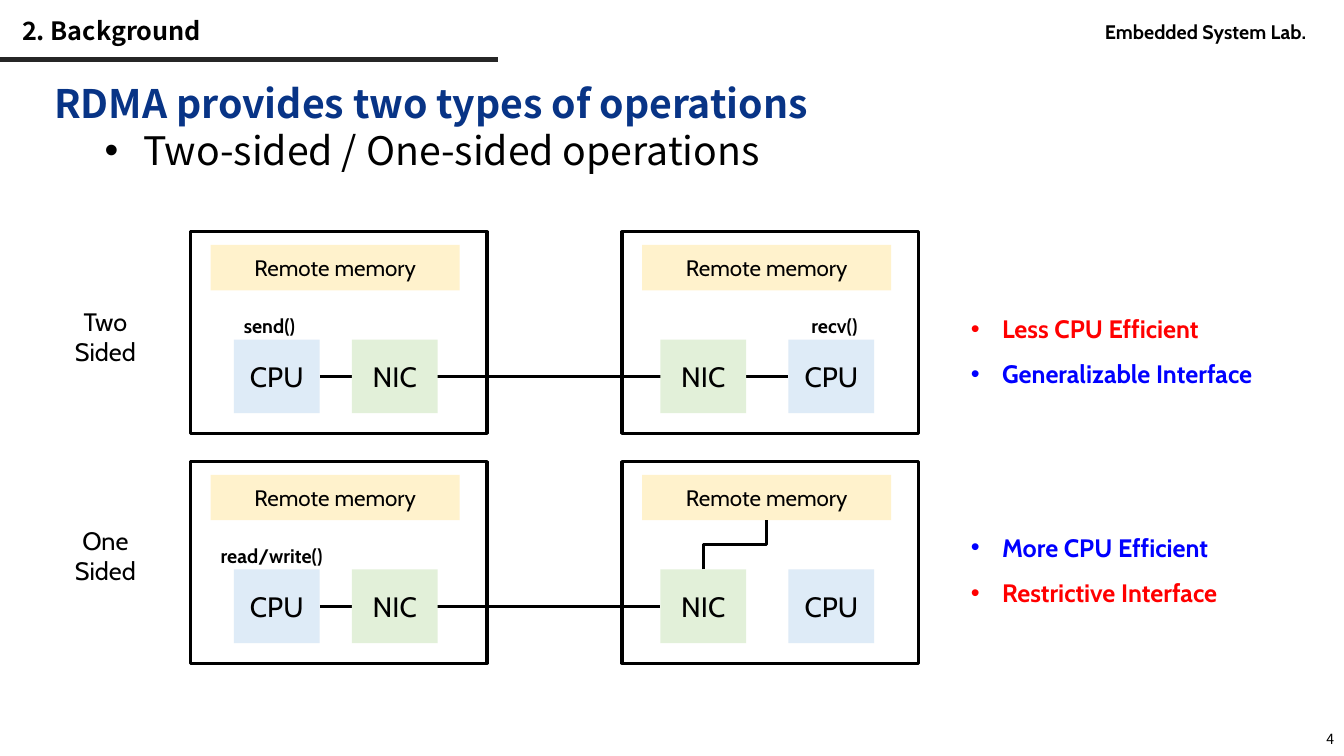
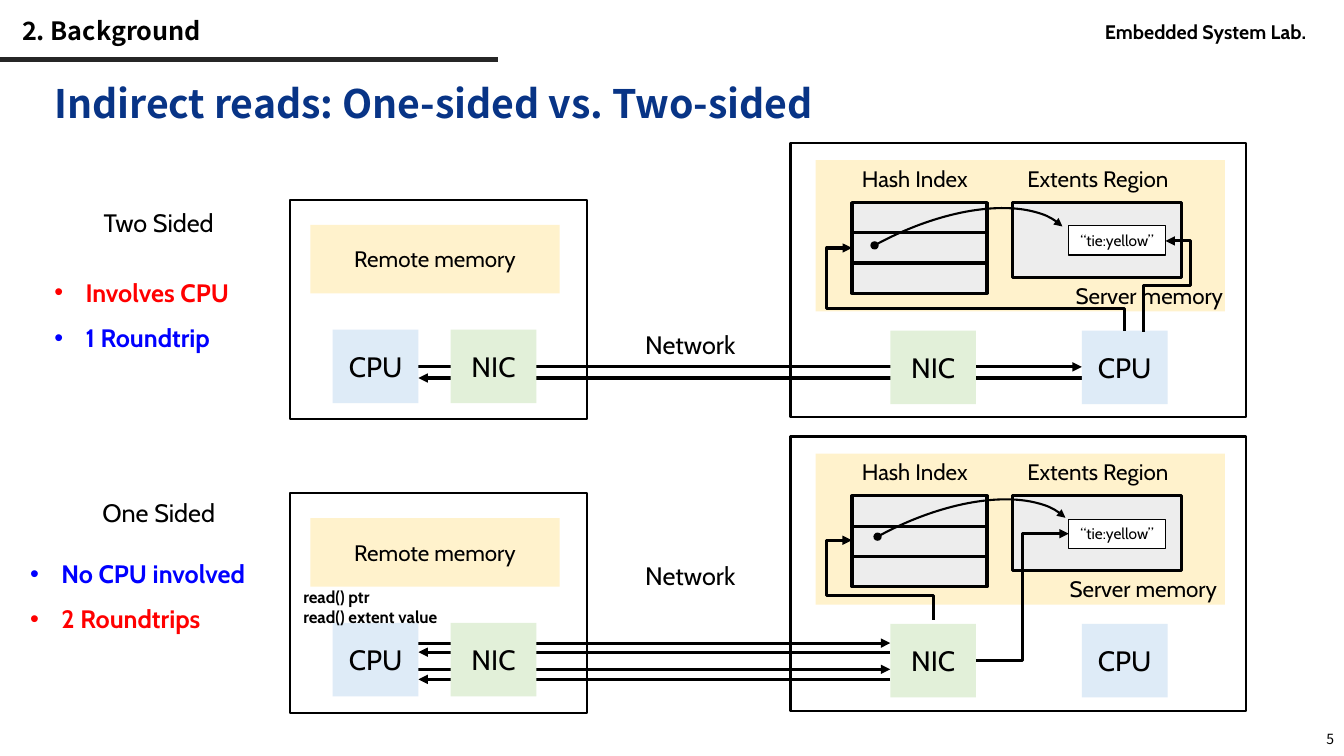
from pptx import Presentation
from pptx.dml.color import RGBColor
from pptx.enum import shapes as kinds, text as texts
from pptx.oxml.ns import qn
from pptx.util import Inches, Pt
from lxml import etree

COLORS = {
    "black": "000000", "white": "FFFFFF", "rule": "262626", "navy": "083486",
    "red": "FF0000", "blue": "0000FF", "memory": "FFF2CC", "cpu": "DEEBF7",
    "nic": "E2F0D9", "table": "EDEDED",
}
SANS, LABEL = "Noto Sans CJK KR", "Cabin"
CENTER, RIGHT = texts.PP_ALIGN.CENTER, texts.PP_ALIGN.RIGHT
MIDDLE = texts.MSO_ANCHOR.MIDDLE
RECT, ARC = kinds.MSO_SHAPE.RECTANGLE, kinds.MSO_SHAPE.ARC
TOP, LEFT, BOTTOM, RIGHT_SIDE = range(4)  # connection sites of a rectangle


def style(size, name=LABEL, bold=False, color="black", bullet=None, **para):
    return {"font": {"size": Pt(size), "name": name, "bold": bold},
            "color": color, "bullet": bullet, "para": para}


STYLES = {
    "section": style(18, SANS, True, line_spacing=0.9),
    "lab": style(14, bold=True),
    "number": style(10, SANS, alignment=RIGHT),
    "heading": style(28, SANS, True, "navy"),
    "subpoint": style(28, SANS, bullet=(0.88, 0.38)),
    "pro": style(18, bold=True, color="blue", bullet=(0.31, 0.31), line_spacing=1.5),
    "con": style(18, bold=True, color="red", bullet=(0.31, 0.31), line_spacing=1.5),
    "row": style(18, alignment=CENTER),
    "network": style(18),
    "caption": style(16),
    "memory": style(16, alignment=CENTER),
    "chip": style(20, alignment=CENTER),
    "value": style(11, alignment=CENTER),
    "call": style(14, bold=True),
    "reads": style(12, bold=True),
}

SECTION, LAB = "2. Background", "Embedded System Lab."
MEMORY = "Remote memory"
CHIP_SIZE = (0.85, 0.73)

OPERATIONS = {
    "number": 4,
    "heading": [("RDMA provides two types of operations", "heading"),
                ("Two-sided / One-sided operations", "subpoint")],
    "rows": [
        {"top": 2.3, "name": ["Two", "Sided"], "name_top": 2.99, "line_end": 7.82,
         "notes": [("Less CPU Efficient", "con"), ("Generalizable Interface", "pro")],
         "notes_top": 2.91,
         "calls": [("send()", 2.32, 0.85), ("recv()", 7.95, 0.85)]},
        {"top": 4.58, "name": ["One", "Sided"], "name_top": 5.16, "line_end": 6.55,
         "notes": [("More CPU Efficient", "pro"), ("Restrictive Interface", "con")],
         "notes_top": 5.08,
         "calls": [("read/write()", 2.09, 1.39)]},
    ],
    # host left, CPU offset, NIC offset
    "hosts": [(1.89, 0.43, 1.6), (6.17, 1.65, 0.38)],
}

INDIRECT = {
    "number": 5,
    "heading": [("Indirect reads: One-sided vs. Two-sided", "heading")],
    "row_step": 2.91,
    "rows": [
        {"name": "Two Sided", "name_at": (0.71, 2.01, 1.73, 0.4),
         "notes": [("Involves CPU", "con"), ("1 Roundtrip", "pro")],
         "notes_at": (0.44, 2.55, 3.55, 0.95),
         "network_top": 3.22, "caption_left": 10.57, "arc_at": (7.5, 2.29),
         "reach": 10.73, "trips": [(3.64, 3.75)],
         "routes": [[(11.15, 3.28), (11.15, 3.06), (8.2, 3.06), (8.2, 2.46), (8.45, 2.46)],
                    [(11.34, 3.29), (11.34, 2.83), (11.81, 2.83), (11.81, 2.39),
                     (11.56, 2.39)]]},
        {"name": "One Sided", "name_at": (0.69, 4.88, 1.77, 0.4),
         "notes": [("No CPU involved", "pro"), ("2 Roundtrips", "con")],
         "notes_at": (0.2, 5.34, 2.61, 0.95),
         "network_top": 5.51, "caption_left": 10.51, "arc_at": (7.53, 5.18),
         "reach": 8.83, "trips": [(6.38, 6.47), (6.64, 6.74)],
         "routes": [[(9.26, 6.15), (9.26, 5.91), (8.2, 5.91), (8.2, 5.36), (8.45, 5.36)]],
         "reads": ["read() ptr", "read() extent value"]},
    ],
}


def rgb(name):
    return RGBColor.from_string(COLORS[name])


def inches(values):
    return [Inches(value) for value in values]


def write(shape, lines, anchor=texts.MSO_ANCHOR.TOP, wrap=True):
    """Fill a shape with (text, style name) paragraphs."""
    frame = shape.text_frame
    frame.word_wrap, frame.vertical_anchor = wrap, anchor
    for index, (words, style_name) in enumerate(lines):
        look = STYLES[style_name]
        para = frame.add_paragraph() if index else frame.paragraphs[0]
        for key, value in look["para"].items():
            setattr(para, key, value)
        if look["bullet"]:
            left, hang = inches(look["bullet"])
            props = para._p.get_or_add_pPr()
            props.set("marL", str(left))
            props.set("indent", str(-hang))
            etree.SubElement(props, qn("a:buFont")).set("typeface", "Arial")
            etree.SubElement(props, qn("a:buChar")).set("char", "•")
        span = para.add_run()
        span.text = words
        for key, value in look["font"].items():
            setattr(span.font, key, value)
        span.font.color.rgb = rgb(look["color"])


def add_text(slide, at, lines, **layout):
    write(slide.shapes.add_textbox(*inches(at)), lines, **layout)


def stroke(shape, width, color="black", **ends):
    """Set the line; ends maps headEnd or tailEnd to an arrowhead type."""
    shape.line.width = Pt(width)
    shape.line.color.rgb = rgb(color)
    for end, kind in ends.items():
        etree.SubElement(shape.line._get_or_add_ln(), qn(f"a:{end}")).set("type", kind)


def add_box(slide, at, fill=None, width=None, words=None, style_name=None, **layout):
    box = slide.shapes.add_shape(RECT, *inches(at))
    box.shadow.inherit = False
    if fill:
        box.fill.solid()
        box.fill.fore_color.rgb = rgb(fill)
    else:
        box.fill.background()
    if width:
        stroke(box, width)
    else:
        box.line.fill.background()
    if words:
        write(box, [(words, style_name)], MIDDLE, **layout)
    return box


def add_chip(slide, name, left, top):
    return add_box(slide, (left, top, *CHIP_SIZE), name.lower(), None, name, "chip")


def add_line(slide, start, end, width=2.25, color="black",
             kind=kinds.MSO_CONNECTOR.STRAIGHT, **ends):
    line = slide.shapes.add_connector(kind, *inches((*start, *end)))
    stroke(line, width, color, **ends)
    etree.SubElement(line._element.spPr, qn("a:effectLst"))
    return line


def add_elbow(slide, source, source_site, target, target_site, **ends):
    elbow = add_line(slide, (0, 0), (1, 1), kind=kinds.MSO_CONNECTOR.ELBOW, **ends)
    elbow.begin_connect(source, source_site)
    elbow.end_connect(target, target_site)
    return elbow


def turn_upright(elbow):
    """Rotate an elbow that rises to the right so it leaves and arrives vertically."""
    left, top, width, height = elbow.left, elbow.top, elbow.width, elbow.height
    elbow.left, elbow.top = left + (width - height) // 2, top + (height - width) // 2
    elbow.width, elbow.height = height, width
    frame = elbow._element.spPr.find(qn("a:xfrm"))
    for key, value in {"rot": "5400000", "flipH": "1", "flipV": "1"}.items():
        frame.set(key, value)


def add_route(slide, points):
    """Draw an arrow through right-angled turns."""
    start, *rest = [tuple(inches(point)) for point in points]
    builder = slide.shapes.build_freeform(*start)
    builder.add_line_segments(rest, close=False)
    route = builder.convert_to_shape()
    route.shadow.inherit = False
    route.fill.background()
    stroke(route, 2.25, tailEnd="triangle")


def add_pointer(slide, at):
    """Draw the curved arrow from a hash slot to its extent."""
    pointer = slide.shapes.add_shape(ARC, *inches((*at, 3.3, 1.63)))
    pointer.shadow.inherit = False
    pointer.fill.background()
    pointer.rotation = 333.2
    for index, angle in enumerate((156.86, 213.05)):
        pointer.adjustments[index] = angle
    stroke(pointer, 1.5, headEnd="oval", tailEnd="triangle")


def start_slide(deck, content):
    slide = deck.slides.add_slide(deck.slide_layouts[6])
    add_line(slide, (0, 0.59), (4.94, 0.59), 3, "rule")
    add_text(slide, (10.86, 0.15, 2.49, 0.34), [(LAB, "lab")])
    add_text(slide, (0.12, 0.12, 9.71, 0.4), [(SECTION, "section")], anchor=MIDDLE)
    add_text(slide, (10.33, 7.17, 3, 0.32), [(str(content["number"]), "number")],
             anchor=MIDDLE)
    add_text(slide, (0.44, 0.74, 12.45, 1.45), content["heading"])
    return slide


def build_operations(deck):
    slide = start_slide(deck, OPERATIONS)
    for row in OPERATIONS["rows"]:
        top = row["top"]
        chip_top = top + 1.07
        line_y = chip_top + CHIP_SIZE[1] / 2
        add_line(slide, (3.17, line_y), (row["line_end"], line_y))
        for left, cpu, nic in OPERATIONS["hosts"]:
            add_box(slide, (left, top, 2.94, 2), width=2.25)
            memory = add_box(slide, (left + 0.2, top + 0.13, 2.47, 0.45), "memory",
                             None, MEMORY, "memory")
            add_chip(slide, "CPU", left + cpu, chip_top)
            nic_chip = add_chip(slide, "NIC", left + nic, chip_top)
        for words, left, width in row["calls"]:
            add_text(slide, (left, top + 0.77, width, 0.34), [(words, "call")])
        add_text(slide, (0.54, row["name_top"], 1.01, 0.71),
                 [(word, "row") for word in row["name"]])
        add_text(slide, (9.53, row["notes_top"], 3.55, 0.95), row["notes"])
    # Only the last row's server NIC reaches memory directly.
    turn_upright(add_elbow(slide, nic_chip, TOP, memory, BOTTOM))


def build_indirect(deck):
    slide = start_slide(deck, INDIRECT)
    for index, row in enumerate(INDIRECT["rows"]):
        shift = index * INDIRECT["row_step"]
        add_text(slide, row["name_at"], [(row["name"], "row")])
        add_text(slide, row["notes_at"], row["notes"])
        add_text(slide, (6.3, row["network_top"], 1.55, 0.4), [("Network", "network")])

        add_box(slide, (2.88, 1.98 + shift, 2.94, 2.18), width=1.5)
        add_box(slide, (3.08, 2.23 + shift, 2.47, 0.68), "memory", None, MEMORY, "memory")
        add_box(slide, (7.84, 1.42 + shift, 4.52, 2.72), width=1.5)
        add_box(slide, (8.09, 1.59 + shift, 4.06, 1.5), "memory")
        for slot in range(3):
            add_box(slide, (8.45, 2.01 + 0.3 * slot + shift, 1.34, 0.3), "table", 2.25)
        add_box(slide, (10.04, 2.01 + shift, 1.68, 0.74), "table", 2.25)
        for words, left, top, width in (("Hash Index", 8.45, 1.59, 1.56),
                                        ("Extents Region", 10.09, 1.59, 1.68),
                                        ("Server memory", row["caption_left"], 2.75, 1.9)):
            add_text(slide, (left, top + shift, width, 0.37), [(words, "caption")])
        add_pointer(slide, row["arc_at"])
        value = add_box(slide, (10.6, 2.24 + shift, 0.96, 0.29), "white", 0.75,
                        "“tie:yellow”", "value", wrap=False)

        for request_y, reply_y in row["trips"]:
            near, far = 4.15, row["reach"]
            add_line(slide, (near, request_y), (far, request_y), tailEnd="triangle")
            add_line(slide, (far, reply_y), (near, reply_y), tailEnd="triangle")
        for name, left, top in (("CPU", 3.3, 3.27), ("NIC", 4.47, 3.27),
                                ("CPU", 10.73, 3.28), ("NIC", 8.83, 3.28)):
            chip = add_chip(slide, name, left, top + shift)
        for points in row["routes"]:
            add_route(slide, points)
        if "reads" in row:
            add_elbow(slide, chip, RIGHT_SIDE, value, LEFT, tailEnd="triangle")
            add_text(slide, (2.91, 5.77, 3.04, 0.5),
                     [(words, "reads") for words in row["reads"]])


def main():
    deck = Presentation()
    deck.slide_width, deck.slide_height = Inches(13.33), Inches(7.5)
    build_operations(deck)
    build_indirect(deck)
    deck.save("out.pptx")


if __name__ == "__main__":
    main()
